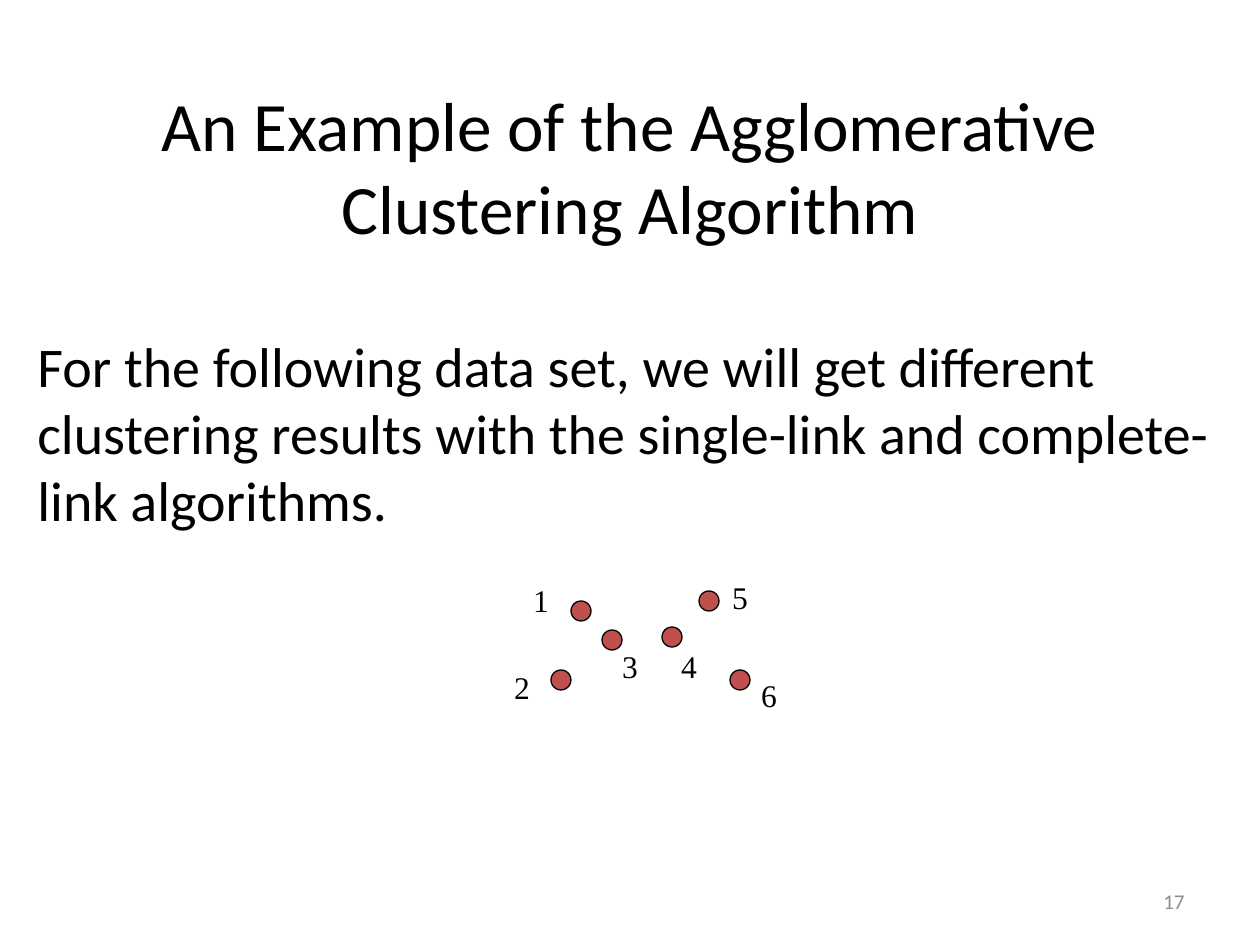
from dataclasses import dataclass

from pptx import Presentation as Deck
from pptx.dml.color import RGBColor as Color
from pptx.enum.shapes import MSO_SHAPE as Shape
from pptx.enum.text import MSO_ANCHOR as Anchor, MSO_AUTO_SIZE as Fit, PP_ALIGN as Align
from pptx.util import Emu, Pt

SCALE = 914400 / 126


@dataclass(frozen=True)
class Theme:
    ink: Color = Color(0x00, 0x00, 0x00)
    mute: Color = Color(0x8C, 0x8C, 0x8C)
    dot: Color = Color(0xC0, 0x50, 0x4D)
    sans: str = "Calibri"
    serif: str = "Times New Roman"
    title: float = 39.6
    body: float = 32
    label: float = 18
    page: float = 12
    edge: float = 0.75


def px(*sizes):
    return [Emu(round(size * SCALE)) for size in sizes]


def apply(target, form):
    for name, value in form.items():
        setattr(target, name, value)


class Painter:
    def __init__(self, slide, theme):
        self.slide = slide
        self.theme = theme

    def text(self, words, box, size, font=None, color=None, align=Align.LEFT, **frame):
        area = self.slide.shapes.add_textbox(*px(*box)).text_frame
        apply(area, {"word_wrap": True, **frame})
        para = area.paragraphs[0]
        para.alignment = align
        run = para.add_run()
        run.text = words
        apply(run.font, {"size": Pt(size), "name": font or self.theme.sans})
        run.font.color.rgb = color or self.theme.ink

    def dot(self, left, top, size=20):
        dot = self.slide.shapes.add_shape(Shape.OVAL, *px(left, top, size, size))
        dot.shadow.inherit = False
        for paint, color in ((dot.fill, self.theme.dot), (dot.line.fill, self.theme.ink)):
            paint.solid()
            paint.fore_color.rgb = color
        dot.line.width = Pt(self.theme.edge)

    def label(self, words, left, top):
        self.text(words, (left, top, 42, 50), self.theme.label, self.theme.serif,
                  align=Align.CENTER, word_wrap=False, auto_size=Fit.SHAPE_TO_FIT_TEXT)


POINTS = [
    ((571, 601), (520, 575)),
    ((551, 670), (501, 662)),
    ((602, 630), (609, 641)),
    ((662, 627), (668, 641)),
    ((699, 591), (719, 572)),
    ((730, 670), (748, 670)),
]


def main():
    deck = Deck()
    deck.slide_width, deck.slide_height = px(1260, 945)
    theme = Theme()
    pen = Painter(deck.slides.add_slide(deck.slide_layouts[6]), theme)

    pen.text("17", (903, 876, 294, 50), theme.page, color=theme.mute,
             align=Align.RIGHT, vertical_anchor=Anchor.MIDDLE)
    pen.text("An Example of the Agglomerative Clustering Algorithm",
             (63, 87, 1134, 157), theme.title,
             align=Align.CENTER, vertical_anchor=Anchor.MIDDLE)
    for dot, _ in POINTS:
        pen.dot(*dot)
    for number, (_, spot) in enumerate(POINTS, 1):
        pen.label(str(number), *spot)
    pen.text("For the following data set, we will get different clustering results "
             "with the single-link and complete-link algorithms.",
             (25, 325, 1260, 217), theme.body, auto_size=Fit.SHAPE_TO_FIT_TEXT)

    deck.save("out.pptx")


if __name__ == "__main__":
    main()
